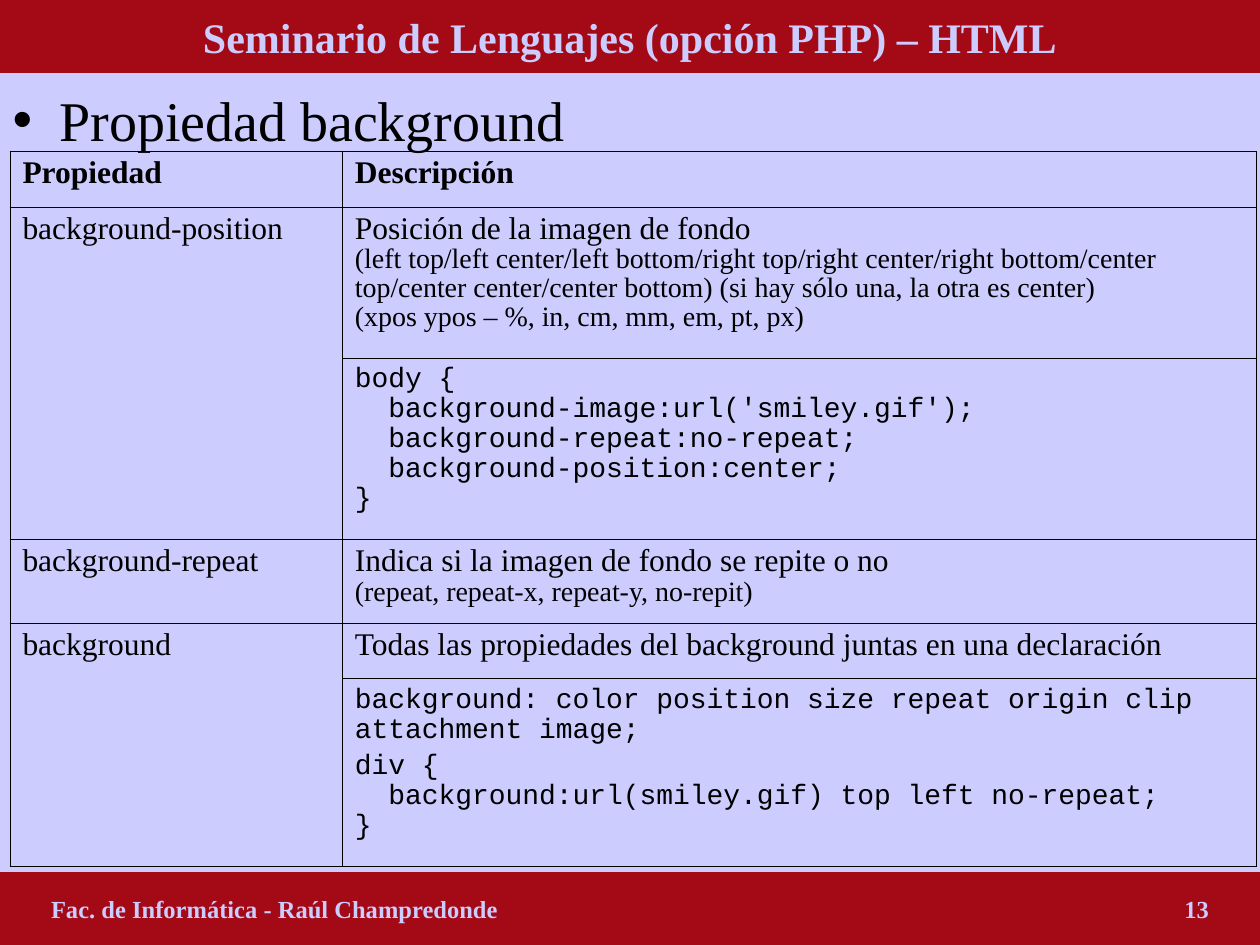
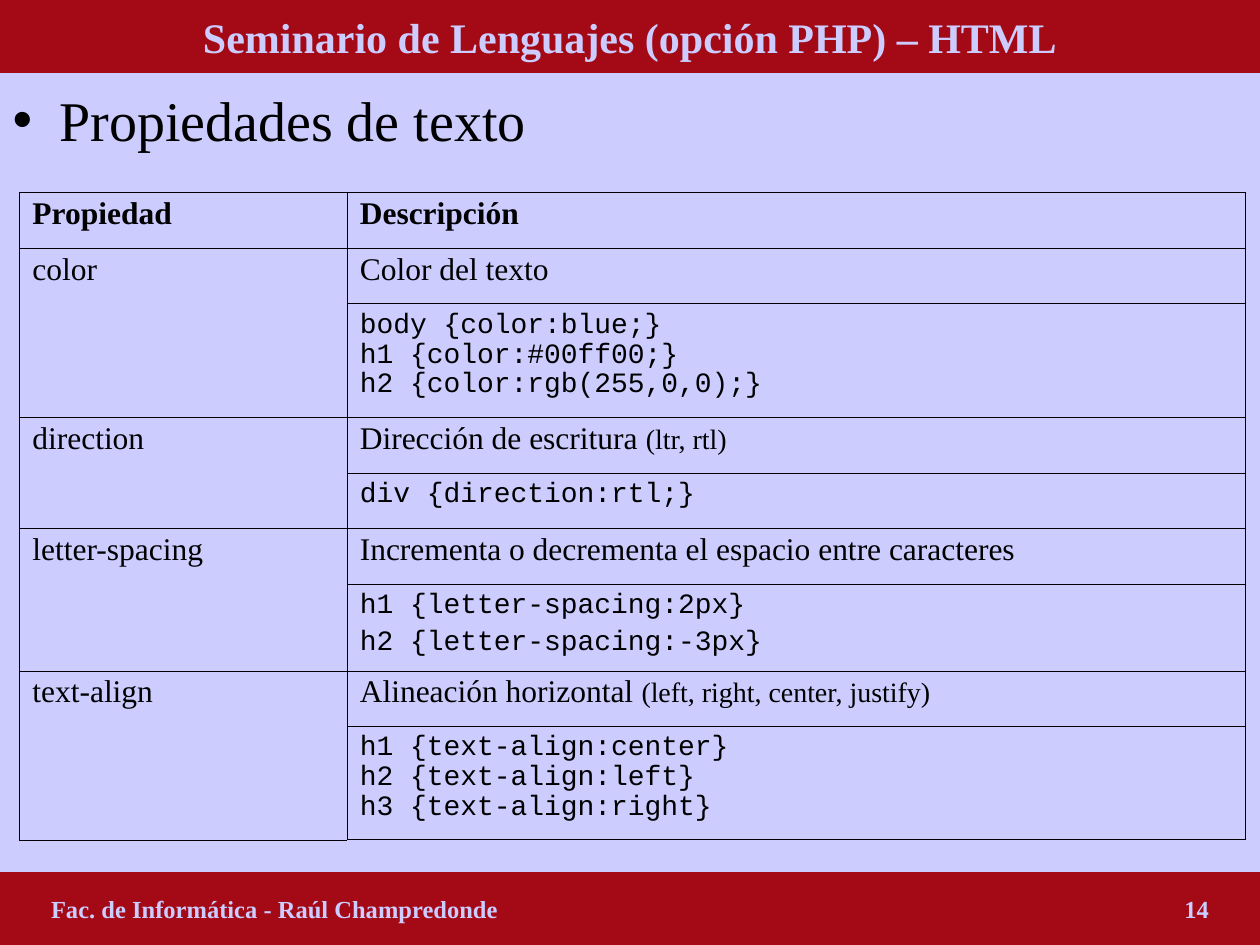
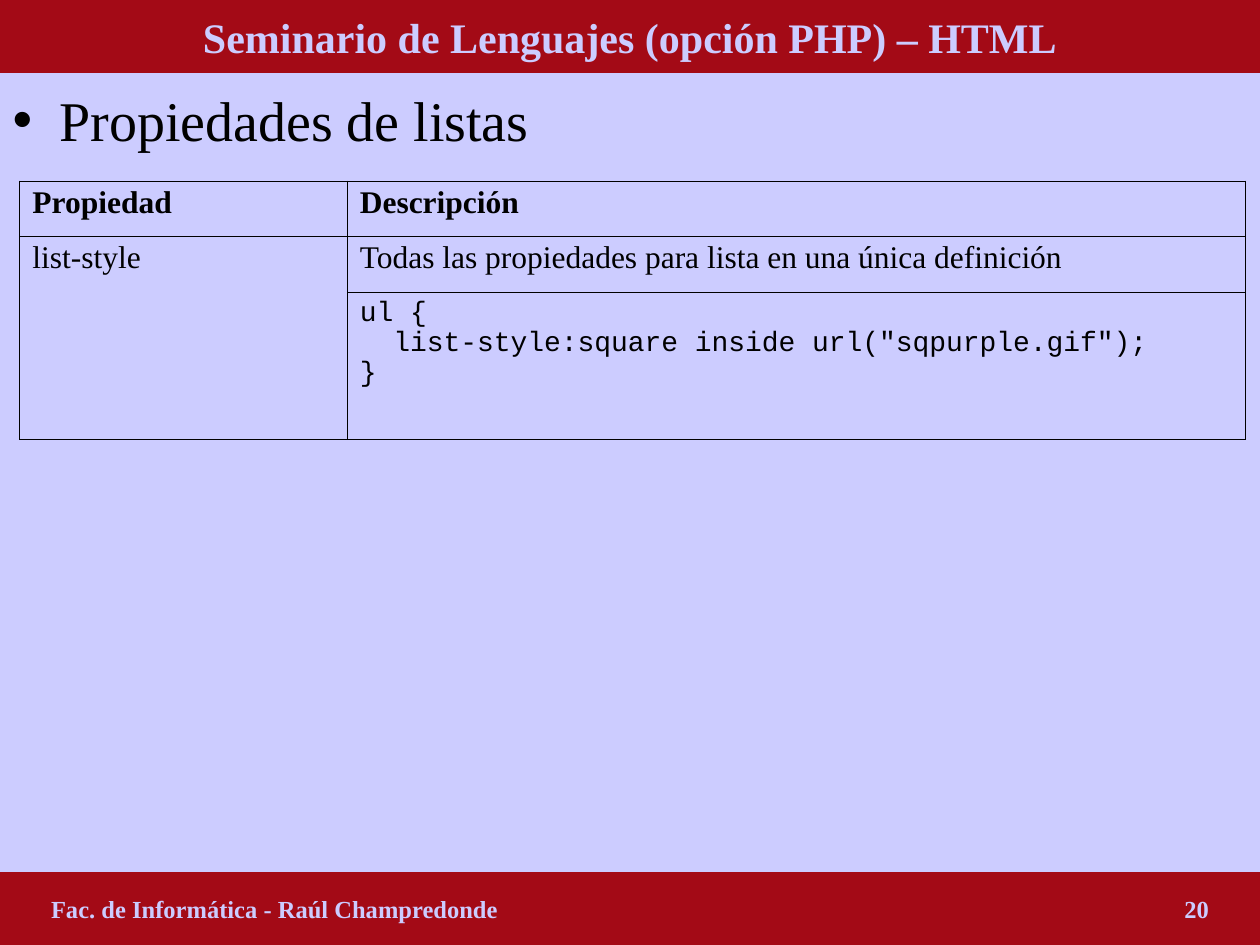
from copy import deepcopy

from lxml.etree import SubElement as Sub
from pptx import Presentation
from pptx.dml.color import RGBColor as Rgb
from pptx.enum.shapes import MSO_SHAPE as Kind
from pptx.enum.text import MSO_ANCHOR as Anchor, MSO_AUTO_SIZE as Fit, PP_ALIGN as Align
from pptx.oxml.ns import qn
from pptx.util import Cm, Pt

INK = {"page": "CCCCFF", "band": "A30A16", "text": "000000"}
SERIF, MONO = "Times New Roman", "Courier New"
WIDE, HIGH, BAND = 25.4, 19.05, 1.47
HEAD = "Seminario de Lenguajes (opción PHP) – HTML"
FOOT = "Fac. de Informática - Raúl Champredonde"
LINE = 1.12  # height of a one-line row
OUTER, INNER = 0.5, 0.23


def put(para, text, size=18, bold=False, font=SERIF, color="text"):
    """Add formatted text to a paragraph; each newline becomes a line break."""
    for i, line in enumerate(text.split("\n")):
        if i:
            para.add_line_break()
            para._p[-1].append(deepcopy(run._r.rPr))
        run = para.add_run()
        run.text = line
        run.font.size, run.font.bold, run.font.name = Pt(size), bold, font
        run.font.color.rgb = Rgb.from_string(INK[color])


def edge(cell, widths):
    """Draw the left, right, top and bottom borders of a cell."""
    props = cell._tc.get_or_add_tcPr()
    for side, width in zip("LRTB", widths):
        line = Sub(props, qn(f"a:ln{side}"), w=str(Pt(width)))
        fill = Sub(line, qn("a:solidFill"))
        Sub(fill, qn("a:srgbClr"), val=INK["text"])
    cell.fill.background()


class Deck:
    def __init__(self):
        self.prs = Presentation()
        self.prs.slide_width, self.prs.slide_height = Cm(WIDE), Cm(HIGH)

    def page(self, topic, number):
        self.slide = self.prs.slides.add_slide(self.prs.slide_layouts[1])
        fill = self.slide.background.fill
        fill.solid()
        fill.fore_color.rgb = Rgb.from_string(INK["page"])
        self.title()
        self.topic(topic)
        self.footer(number)

    def place(self, shape, top, high):
        """Stretch a shape over the full width and return its first paragraph."""
        shape.left, shape.top = Cm(0), Cm(top)
        shape.width, shape.height = Cm(WIDE), Cm(high)
        frame = shape.text_frame
        frame.auto_size, frame.word_wrap = Fit.NONE, True
        return frame.paragraphs[0]

    def band(self, shape, top):
        para = self.place(shape, top, BAND)
        shape.fill.solid()
        shape.fill.fore_color.rgb = Rgb.from_string(INK["band"])
        shape.line.fill.background()
        shape.text_frame.vertical_anchor = Anchor.MIDDLE
        return para

    def title(self):
        para = self.band(self.slide.shapes.title, 0)
        put(para, HEAD, size=24, bold=True, color="page")

    def topic(self, text):
        body = self.slide.placeholders[1]
        para = self.place(body, BAND, HIGH - 2 * BAND)
        body.text_frame.margin_top = Cm(0.25)
        para.space_before = Pt(0)
        props = para._p.get_or_add_pPr()
        props.set("marL", str(Cm(0.94)))
        props.set("indent", str(Cm(-0.94)))
        put(para, text, size=32)

    def footer(self, number):
        bar = self.slide.shapes.add_shape(Kind.RECTANGLE, 0, 0, 0, 0)
        bar.shadow.inherit = False
        para = self.band(bar, HIGH - BAND)
        bar.text_frame.margin_left = Cm(1.03)
        para.alignment = Align.LEFT
        tabs = Sub(para._p.get_or_add_pPr(), qn("a:tabLst"))
        Sub(tabs, qn("a:tab"), pos=str(Cm(23.34)), algn="r")
        put(para, f"{FOOT}\t{number}", size=14, bold=True, color="page")

    def table(self, left, top, cols, highs, items):
        """Draw items of (name, text, note, codes); codes take a second row."""
        frame = self.slide.shapes.add_table(
            len(highs), 2, Cm(left), Cm(top), Cm(sum(cols)), Cm(sum(highs)))
        grid = frame.table
        grid.first_row = grid.horz_banding = False
        for col, width in zip(grid.columns, cols):
            col.width = Cm(width)
        last = len(highs) - 1
        for r, high in enumerate(highs):
            grid.rows[r].height = Cm(high)
            ends = (OUTER if r == 0 else INNER, OUTER if r == last else INNER)
            edge(grid.cell(r, 0), (OUTER, INNER, *ends))
            edge(grid.cell(r, 1), (INNER, OUTER, *ends))
        for c, label in enumerate(("Propiedad", "Descripción")):
            put(self.para(grid.cell(0, c)), label, bold=True)
        row = 1
        for name, text, note, codes in items:
            put(self.para(grid.cell(row, 0)), name)
            para = self.para(grid.cell(row, 1))
            put(para, text)
            if note:
                put(para, note, size=16)
            if codes:
                grid.cell(row, 0).merge(grid.cell(row + 1, 0))
                row += 1
                for i, code in enumerate(codes):
                    para = self.para(grid.cell(row, 1), i, 0.94)
                    put(para, code, size=16, font=MONO)
            row += 1

    def para(self, cell, index=0, space=0.93):
        frame = cell.text_frame
        para = frame.add_paragraph() if index else frame.paragraphs[0]
        para.line_spacing = space
        para.space_before = Pt(4 if index else 0)
        return para


BACK = [
    ("background-position", "Posición de la imagen de fondo\n",
     "(left top/left center/left bottom/right top/right center/right bottom/center "
     "top/center center/center bottom) (si hay sólo una, la otra es center)\n"
     "(xpos ypos – %, in, cm, mm, em, pt, px)",
     ["body {\n  background-image:url('smiley.gif');\n"
      "  background-repeat:no-repeat;\n  background-position:center;\n}"]),
    ("background-repeat", "Indica si la imagen de fondo se repite o no\n",
     "(repeat, repeat-x, repeat-y, no-repit)", []),
    ("background", "Todas las propiedades del background juntas en una declaración", "",
     ["background: color position size repeat origin clip attachment image;",
      "div {\n  background:url(smiley.gif) top left no-repeat;\n}"]),
]
TEXT = [
    ("color", "Color del texto", "",
     ["body {color:blue;}\nh1 {color:#00ff00;}\nh2 {color:rgb(255,0,0);}"]),
    ("direction", "Dirección de escritura ", "(ltr, rtl)", ["div {direction:rtl;}"]),
    ("letter-spacing", "Incrementa o decrementa el espacio entre caracteres", "",
     ["h1 {letter-spacing:2px}", "h2 {letter-spacing:-3px}"]),
    ("text-align", "Alineación horizontal ", "(left, right, center, justify)",
     ["h1 {text-align:center}\nh2 {text-align:left}\nh3 {text-align:right}"]),
]
LIST = [
    ("list-style", "Todas las propiedades para lista en una única definición", "",
     ['ul {\n  list-style:square inside url("sqpurple.gif");\n}']),
]


def main():
    deck = Deck()
    cols = (6.6, 18.11)
    deck.page("Propiedad background", 13)
    deck.table(0.2, 3.05, (6.7, 18.42), (LINE, 3.05, 3.65, 1.69, LINE, 3.79), BACK)
    deck.page("Propiedades de texto", 14)
    deck.table(0.4, 3.88, cols,
               (LINE, LINE, 2.29, LINE, LINE, LINE, 1.75, LINE, 2.29), TEXT)
    deck.page("Propiedades de listas", 20)
    deck.table(0.4, 3.65, cols, (LINE, LINE, 2.97), LIST)
    deck.prs.save("out.pptx")


if __name__ == "__main__":
    main()
